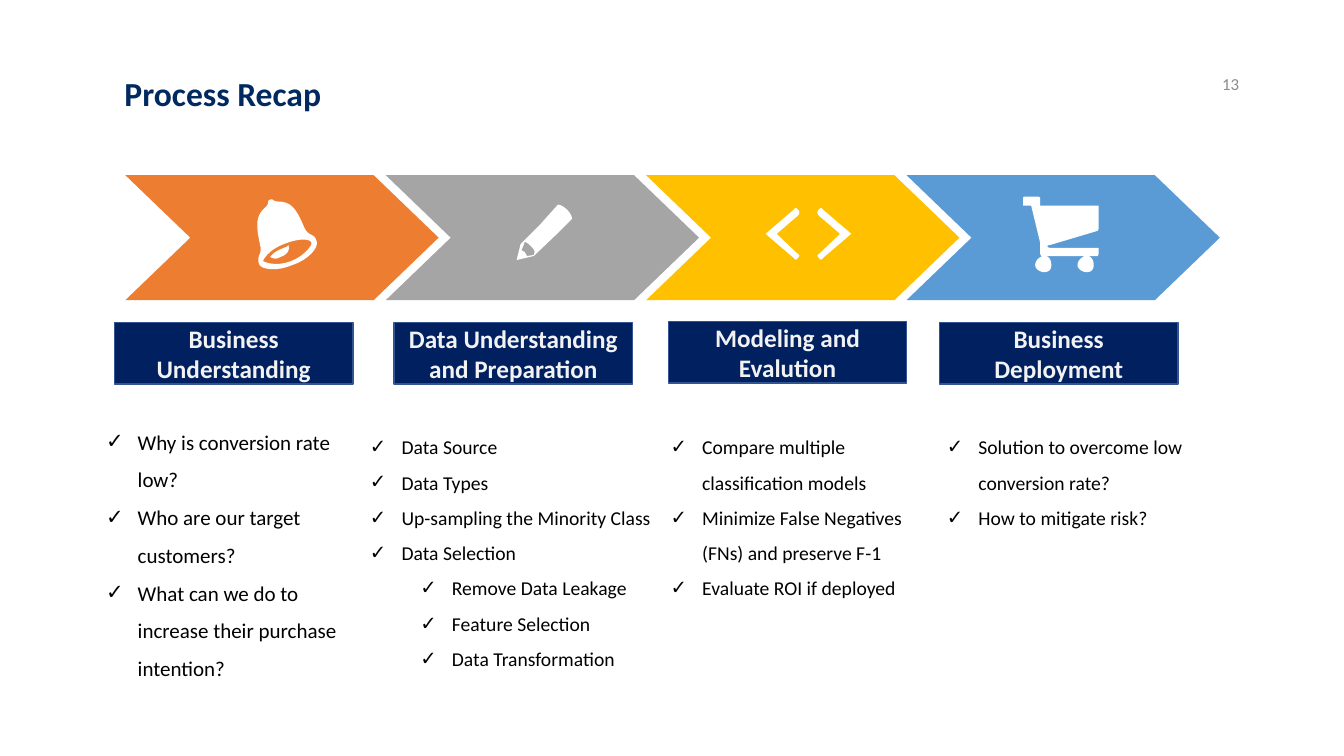
"""Build the four-stage process recap slide."""
from lxml.etree import SubElement as Sub
from pptx import Presentation
from pptx.dml.color import RGBColor as Rgb
from pptx.enum.shapes import MSO_SHAPE as Kind
from pptx.enum.text import MSO_ANCHOR as Anchor, PP_ALIGN as Align
from pptx.oxml.ns import qn
from pptx.util import Pt

theme = {
    "stages": ["ED7D31", "A5A5A5", "FFC000", "5B9BD5"],
    "icon": "FFFFFF", "label": "002060", "edge": "325491",
    "title": {"size": Pt(24), "bold": True, "color": "002960"},
    "number": {"size": Pt(12), "color": "8C8C8C"},
    "head": {"size": Pt(18), "bold": True, "color": "F2F2F2"},
    "large": {"size": Pt(15), "color": "000000"},
    "body": {"size": Pt(14), "color": "000000"},
}

deck = Presentation()
cell = 152400
deck.slide_width, deck.slide_height = 80 * cell, 45 * cell
slide = deck.slides.add_slide(deck.slide_layouts[6])
shapes = slide.shapes


def grid(*spans):
    """Turn grid cells into slide lengths."""
    return [round(span * cell) for span in spans]


def write(shape, lines, look, layout, align=None, space=None):
    """Fill a shape with one paragraph per line and return them."""
    frame = shape.text_frame
    for key, val in {"word_wrap": True, **layout}.items():
        setattr(frame, key, val)
    frame.text = "\n".join(lines)
    for para in frame.paragraphs:
        para.alignment, para.line_spacing = align, space
        font = para.runs[0].font
        font.name = "Calibri"
        for key, val in look.items():
            if key == "color":
                font.color.rgb = Rgb.from_string(val)
            else:
                setattr(font, key, val)
    return frame.paragraphs


for col, hue in enumerate(theme["stages"]):
    arrow = shapes.add_shape(Kind.CHEVRON, *grid(7.46 + 15.5 * col, 10.43, 18.65, 7.44))
    arrow.adjustments[0] = 0.52
    arrow.shadow.inherit = False
    arrow.fill.solid()
    arrow.fill.fore_color.rgb = Rgb.from_string(hue)
    arrow.line.fill.background()

bell = [
    [(49, 29), (41, 10, 36, 3, 23, 3), (17, 3, 19, 0, 15, 1), (11, 3, 15, 4, 11, 8),
     (0, 17, 1, 27, 5, 46), (8, 55, 1, 56, 4, 65), (5, 70, 21, 73, 37, 66),
     (53, 61, 64, 48, 61, 42), (59, 34, 53, 38, 49, 29)],
    [(36, 62), (21, 68, 9, 63, 8, 62), (8, 61, 13, 51, 29, 45),
     (47, 38, 56, 41, 56, 44), (57, 45, 51, 56, 36, 62)],
    [(31, 48), (23, 51, 19, 53, 15, 58), (17, 59, 21, 61, 25, 58),
     (32, 56, 35, 51, 33, 46), (33, 46, 32, 48, 31, 48)],
]
pencil = [
    [(50, 5), (45, 0, 41, 0, 41, 0), (24, 19), (4, 39), (0, 55), (17, 51), (38, 31),
     (55, 14), (55, 14, 55, 10, 50, 5)],
    [(17, 50), (10, 51), (10, 50, 9, 49, 8, 47), (7, 46, 5, 46, 5, 45), (7, 40),
     (8, 37), (8, 37, 10, 37, 14, 41), (18, 45, 18, 47, 18, 47)],
]
angle = [(32, 2), (31, 0, 29, 0, 28, 2), (0, 26), (28, 50), (29, 52, 31, 52, 32, 50),
         (34, 48, 34, 47, 32, 46), (11, 26), (32, 8), (34, 6, 34, 3, 32, 2)]
code = [angle, [tuple(v if i % 2 else 85 - v for i, v in enumerate(step)) for step in angle]]
wheel = [(12, 68), (12, 72, 17, 75, 21, 75), (26, 75, 28, 72, 28, 68),
         (28, 63, 26, 59, 21, 59), (17, 59, 12, 63, 12, 68)]
cart = [[tuple(v if i % 2 else v + gap for i, v in enumerate(step)) for step in wheel]
        for gap in (0, 42)]
cart.append([(27, 48), (74, 34), (75, 32), (75, 9), (17, 9), (17, 1), (15, 0), (1, 0),
             (0, 1), (0, 9), (8, 9), (17, 46), (17, 57), (18, 59), (74, 59), (75, 57),
             (75, 51), (28, 51), (23, 51, 23, 48, 27, 48)])

icons = [(bell, 15.18, 11.82), (pencil, 30.75, 12.18), (code, 45.57, 12.36), (cart, 60.9, 11.7)]
for loops, left, top in icons:
    pen = None
    for loop in loops:
        dots = []
        for step in loop:
            if len(step) == 2:
                dots.append(step)
                continue
            ends = dots[-1] + step
            for part in range(1, 9):
                t = part / 8
                rates = (1 - t) ** 3, 3 * t * (1 - t) ** 2, 3 * t * t * (1 - t), t ** 3
                dots.append(tuple(sum(r * v for r, v in zip(rates, ends[axis::2]))
                                  for axis in (0, 1)))
        dots = [(x * 100, y * 100) for x, y in dots]
        if pen:
            pen.move_to(*dots[0])
        else:
            pen = shapes.build_freeform(*dots[0], scale=91.44)
        pen.add_line_segments(dots[1:], close=True)
    icon = pen.convert_to_shape(*grid(left, top))
    icon.shadow.inherit = False
    icon.fill.solid()
    icon.fill.fore_color.rgb = Rgb.from_string(theme["icon"])
    icon.line.fill.background()

labels = [
    (6.81, 19.2, ["Business Understanding"]),
    (23.46, 19.2, ["Data Understanding", "and Preparation"]),
    (39.78, 19.14, ["Modeling and Evalution"]),
    (55.92, 19.2, ["Business Deployment"]),
]
for left, top, lines in labels:
    label = shapes.add_shape(Kind.RECTANGLE, *grid(left, top, 14.2, 3.66))
    label.shadow.inherit = False
    label.fill.solid()
    label.fill.fore_color.rgb = Rgb.from_string(theme["label"])
    label.line.color.rgb = Rgb.from_string(theme["edge"])
    label.line.width = Pt(1)
    write(label, lines, theme["head"], {"vertical_anchor": Anchor.MIDDLE}, Align.CENTER)

lists = [
    ((5.54, 23.82, 16.44, 17.28), 0.97, "large", 3,
     ["Why is conversion rate low?", "Who are our target customers?",
      "What can we do to increase their purchase intention?"]),
    ((21.24, 23.7, 18.66, 17.52), 1.51, "body", 4,
     ["Data Source", "Data Types", "Up-sampling the Minority Class", "Data Selection",
      "Remove Data Leakage", "Feature Selection", "Data Transformation"]),
    ((39.14, 24.18, 16.44, 17.52), 1.03, "body", 3,
     ["Compare multiple classification models",
      "Minimize False Negatives (FNs) and preserve F-1", "Evaluate ROI if deployed"]),
    ((55.58, 24.18, 16.44, 14.76), 1.03, "body", 2,
     ["Solution to overcome low conversion rate?", "How to mitigate risk?"]),
]
for place, drop, look, main, lines in lists:
    side, head, foot = grid(0.78, drop, 0.42)
    layout = {"margin_left": side, "margin_right": side,
              "margin_top": head, "margin_bottom": foot}
    paras = write(shapes.add_textbox(*grid(*place)), lines, theme[look], layout, space=1.5)
    for row, para in enumerate(paras):
        para.level = int(row >= main)
        inset, hang = grid(1.88 + 3 * para.level, -1.88)
        props = para._p.get_or_add_pPr()
        props.set("marL", str(inset))
        props.set("indent", str(hang))
        tint = Sub(props, qn("a:buClr"))
        Sub(tint, qn("a:srgbClr"), val=theme[look]["color"])
        Sub(props, qn("a:buFont"), typeface="Calibri")
        Sub(props, qn("a:buChar"), char="✓")

side, edge = grid(0.72, 0.36)
number = shapes.add_textbox(*grid(71.72, 3.9, 3.06, 2.16))
write(number, ["13"], theme["number"],
      {"vertical_anchor": Anchor.MIDDLE, "margin_left": side, "margin_right": side,
       "margin_top": edge, "margin_bottom": edge}, Align.CENTER)
title = shapes.add_textbox(*grid(6.82, 3.42, 63.3, 3.66))
write(title, ["Process Recap"], theme["title"], {"vertical_anchor": Anchor.BOTTOM}, space=0.9)

deck.save("out.pptx")
